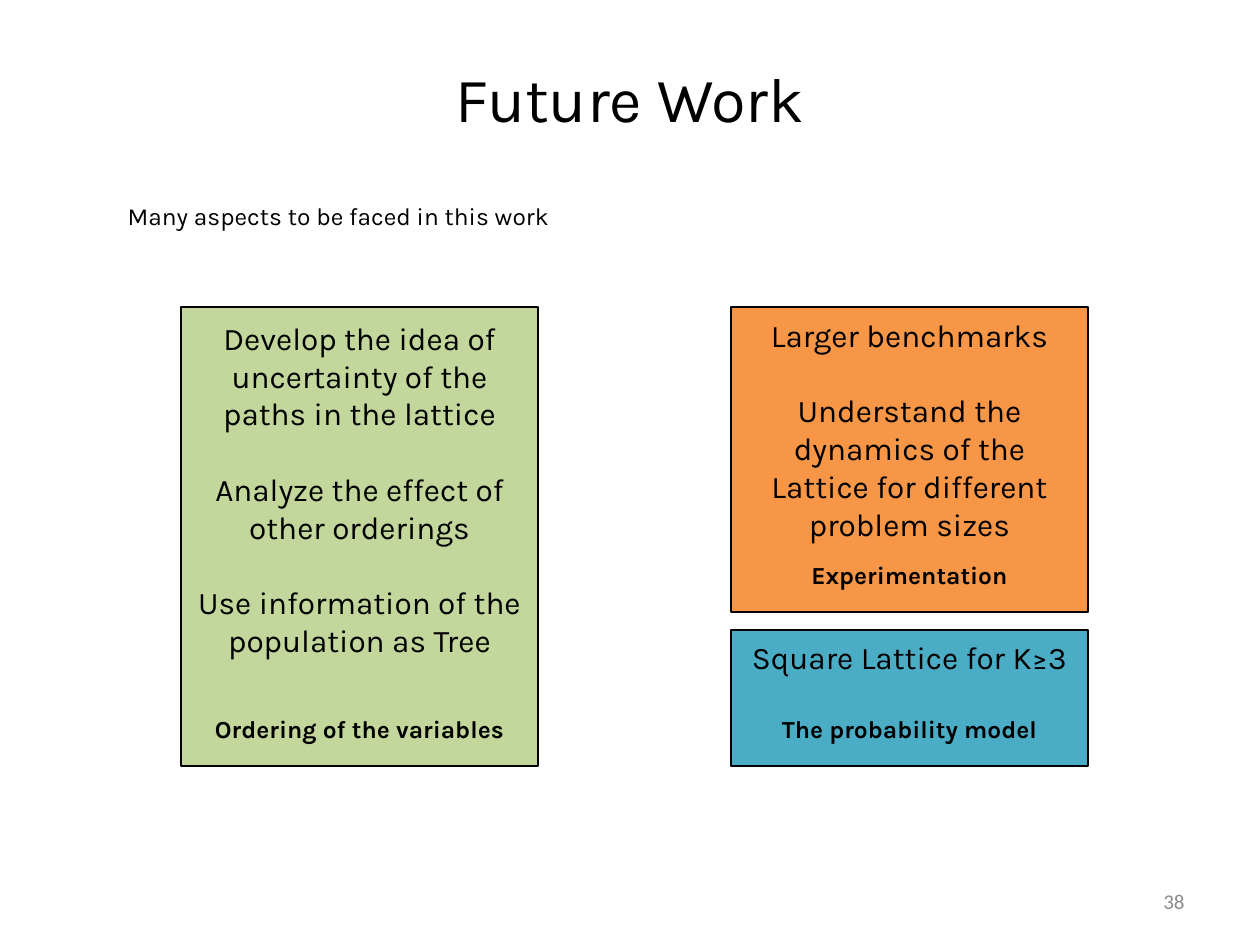
from dataclasses import dataclass

from lxml import etree
from pptx import Presentation
from pptx import util as u
from pptx.dml.color import RGBColor
from pptx.enum import shapes, text
from pptx.oxml.ns import qn

SCALE = 914400 / 126


@dataclass(frozen=True)
class Theme:
    ink: str = "000000"
    muted: str = "8C8C8C"
    green: str = "C3D69B"
    orange: str = "F79646"
    blue: str = "4BACC6"
    font: str = "Karla"
    number_font: str = "Calibri"
    title: int = 36
    card: int = 18
    label: int = 14
    number: int = 12
    line: float = 0.75
    gap: float = 21.6
    small_gap: float = 9.6


THEME = Theme()
CENTER = text.PP_ALIGN.CENTER
CARD_WIDTH = 357
LEFT, RIGHT = 181, 731
TOP, BOTTOM = 307, 766


def px(value):
    return u.Emu(round(value * SCALE))


def apply(target, values):
    for name, value in values.items():
        setattr(target, name, value)


def place(shape, left, top, width, height):
    apply(shape, {"left": px(left), "top": px(top), "width": px(width), "height": px(height)})


def write(para, words, size, align, color=THEME.ink, font=THEME.font, bold=False):
    para.alignment = align
    span = para.add_run()
    span.text = words
    apply(span.font, {"name": font, "size": u.Pt(size), "bold": bold})
    span.font.color.rgb = RGBColor.from_string(color)


def set_frame(shape, anchor, **margins):
    frame = shape.text_frame
    apply(frame, {"word_wrap": True, "auto_size": text.MSO_AUTO_SIZE.NONE,
                  "vertical_anchor": anchor, **margins})
    return frame


def add_title(page, words):
    title = page.shapes.title
    place(title, 63, 38, 1134, 158)
    frame = set_frame(title, text.MSO_ANCHOR.MIDDLE, margin_bottom=px(45))
    write(frame.paragraphs[0], words, THEME.title, CENTER)


def add_intro(page, words):
    body = page.placeholders[1]
    place(body, 115, 195, 536, 77)
    para = set_frame(body, text.MSO_ANCHOR.TOP).paragraphs[0]
    write(para, words, THEME.label, text.PP_ALIGN.LEFT)
    properties = para._p.get_or_add_pPr()
    properties.set("marL", "0")
    properties.set("indent", "0")
    etree.SubElement(properties, qn("a:buNone"))


def add_number(page, words):
    box = page.shapes.add_textbox(px(903), px(876), px(294), px(50))
    frame = set_frame(box, text.MSO_ANCHOR.MIDDLE)
    write(frame.paragraphs[0], words, THEME.number, text.PP_ALIGN.RIGHT,
          THEME.muted, THEME.number_font)


def add_card(page, left, top, bottom, fill, ideas, label, label_gap):
    box = page.shapes.add_shape(shapes.MSO_SHAPE.RECTANGLE, px(left), px(top),
                                px(CARD_WIDTH), px(bottom - top))
    box.shadow.inherit = False
    box.fill.solid()
    box.fill.fore_color.rgb = RGBColor.from_string(fill)
    box.line.color.rgb = RGBColor.from_string(THEME.ink)
    box.line.width = u.Pt(THEME.line)
    frame = set_frame(box, text.MSO_ANCHOR.BOTTOM, margin_bottom=px(23))
    for index, idea in enumerate(ideas):
        para = frame.add_paragraph() if index else frame.paragraphs[0]
        para.space_before = u.Pt(THEME.gap if index else 0)
        write(para, idea, THEME.card, CENTER)
    para = frame.add_paragraph()
    para.space_before = u.Pt(label_gap)
    write(para, label, THEME.label, CENTER, bold=True)


def main():
    deck = Presentation()
    apply(deck, {"slide_width": px(1260), "slide_height": px(945)})
    page = deck.slides.add_slide(deck.slide_layouts[1])
    add_title(page, "Future Work")
    add_number(page, "38")
    add_intro(page, "Many aspects to be faced in this work")
    add_card(page, LEFT, TOP, BOTTOM, THEME.green,
             ["Develop the idea of uncertainty of the paths in the lattice",
              "Analyze the effect of other orderings",
              "Use information of the population as Tree"],
             "Ordering of the variables", THEME.gap + THEME.small_gap)
    add_card(page, RIGHT, TOP, 612, THEME.orange,
             ["Larger benchmarks",
              "Understand the dynamics of the Lattice for different problem sizes"],
             "Experimentation", THEME.small_gap)
    add_card(page, RIGHT, 630, BOTTOM, THEME.blue,
             ["Square Lattice for K≥3"], "The probability model", THEME.gap)
    deck.save("out.pptx")


if __name__ == "__main__":
    main()
